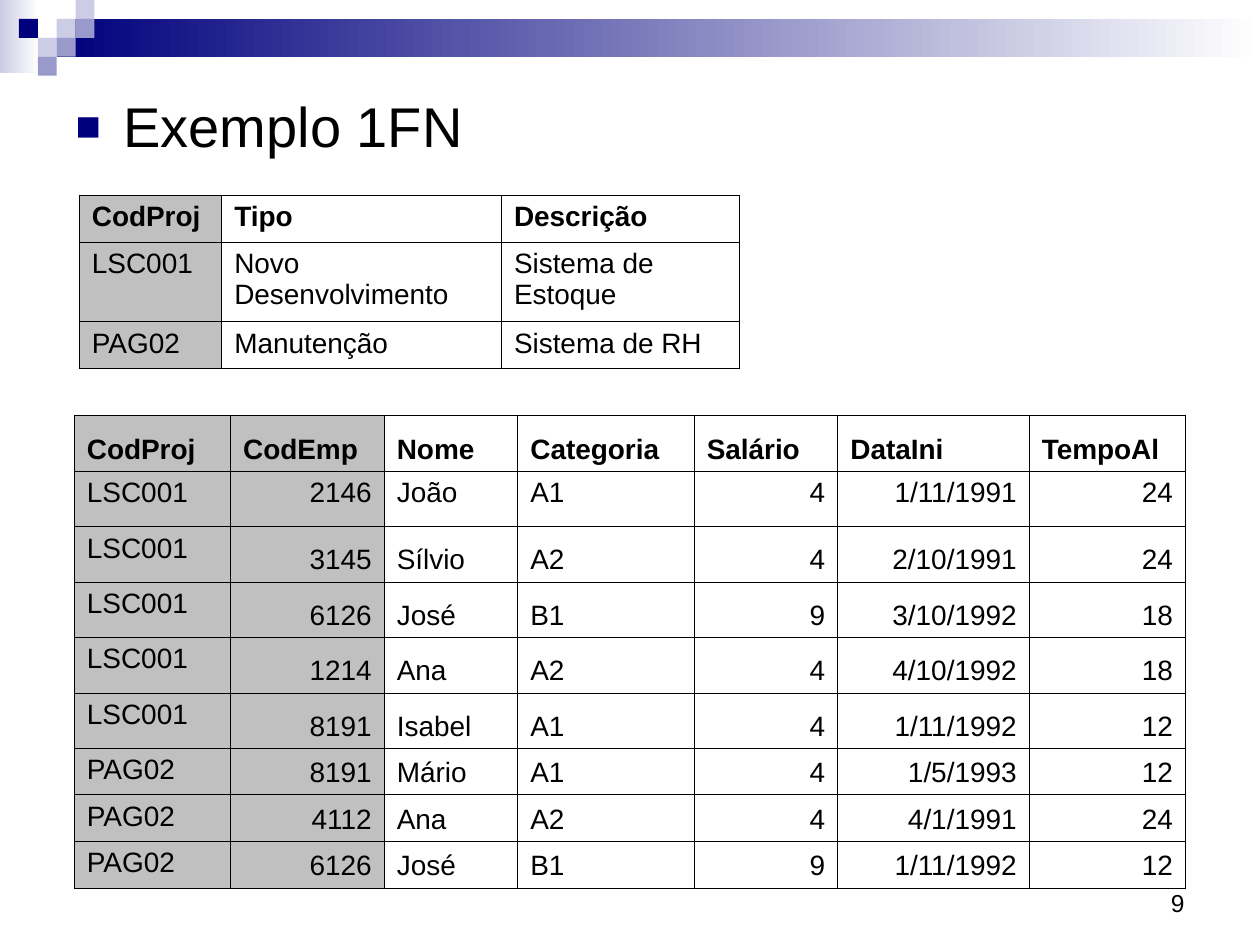
"""Build the first normal form (1FN) example slide with its two tables."""
from lxml import etree
from pptx import Presentation
from pptx import util as u
from pptx.dml import color
from pptx.enum import shapes, text
from pptx.oxml import ns

COLORS = {"navy": "00007D", "violet": "9999CC", "lilac": "CCCCE6",
          "white": "FFFFFF", "black": "000000", "key": "C0C0C0"}
FONT = "Arial"
HEADING = "Exemplo 1FN"
PAGE_NUMBER = "9"

BANDS = [((0, 0, 0.31, 0.58), "lilac"), ((0.45, 0.15, 9.55, 0.3), "navy")]
SQUARE = 0.15
SQUARES = [(3, 1, "lilac"), (4, 0, "lilac"), (4, 1, "violet"), (2, 2, "lilac"),
           (1, 1, "navy"), (3, 2, "violet"), (2, 3, "violet")]

PROJECTS = {
    "origin": (0.63, 1.55),
    "columns": [1.13, 2.22, 1.89],
    "heights": [0.37, 0.63, 0.37],
    "keys": 1,
    "right": (),
    "low": False,
    "rows": [
        ("CodProj", "Tipo", "Descrição"),
        ("LSC001", "Novo Desenvolvimento", "Sistema de Estoque"),
        ("PAG02", "Manutenção", "Sistema de RH"),
    ],
}
EMPLOYEES = {
    "origin": (0.59, 3.3),
    "columns": [1.24, 1.22, 1.06, 1.4, 1.14, 1.52, 1.24],
    "heights": [0.44] * 6 + [0.37] * 3,
    "keys": 2,
    "right": (1, 4, 5, 6),
    "low": True,
    "rows": [
        ("CodProj", "CodEmp", "Nome", "Categoria", "Salário", "DataIni", "TempoAl"),
        ("LSC001", "2146", "João", "A1", "4", "1/11/1991", "24"),
        ("LSC001", "3145", "Sílvio", "A2", "4", "2/10/1991", "24"),
        ("LSC001", "6126", "José", "B1", "9", "3/10/1992", "18"),
        ("LSC001", "1214", "Ana", "A2", "4", "4/10/1992", "18"),
        ("LSC001", "8191", "Isabel", "A1", "4", "1/11/1992", "12"),
        ("PAG02", "8191", "Mário", "A1", "4", "1/5/1993", "12"),
        ("PAG02", "4112", "Ana", "A2", "4", "4/1/1991", "24"),
        ("PAG02", "6126", "José", "B1", "9", "1/11/1992", "12"),
    ],
}


def rgb(name):
    return color.RGBColor.from_string(COLORS[name])


def add_element(parent, tag, **attributes):
    return etree.SubElement(parent, ns.qn(tag), attributes)


def style_paragraph(paragraph, size, bold=False, align=text.PP_ALIGN.LEFT):
    paragraph.alignment = align
    font = paragraph.font
    font.name, font.size, font.bold = FONT, u.Pt(size), bold
    font.color.rgb = rgb("black")


def add_block(slide, box, fill_name, fade=False):
    shape = slide.shapes.add_shape(shapes.MSO_SHAPE.RECTANGLE, *map(u.Inches, box))
    shape.shadow.inherit = False
    shape.line.fill.background()
    if fade:
        shape.fill.gradient()
        shape.fill.gradient_angle = 0
        for stop, name in zip(shape.fill.gradient_stops, (fill_name, "white")):
            stop.color.rgb = rgb(name)
    else:
        shape.fill.solid()
        shape.fill.fore_color.rgb = rgb(fill_name)


def add_heading(slide):
    body = slide.placeholders[1]
    body.left, body.top, body.width, body.height = map(u.Inches, (0.5, 0.68, 9.19, 0.94))
    body.text_frame.text = HEADING
    paragraph = body.text_frame.paragraphs[0]
    paragraph.space_before = u.Pt(8)
    properties = paragraph._p.get_or_add_pPr()
    properties.set("marL", str(u.Inches(0.38)))
    properties.set("indent", str(u.Inches(-0.38)))
    add_element(add_element(properties, "a:buClr"), "a:srgbClr", val=COLORS["navy"])
    add_element(properties, "a:buSzPct", val="75000")
    add_element(properties, "a:buFont", typeface=FONT)
    add_element(properties, "a:buChar", char="■")
    style_paragraph(paragraph, 32)


def add_borders(cell):
    properties = cell._tc.get_or_add_tcPr()
    for side in ("L", "R", "T", "B"):
        line = add_element(properties, f"a:ln{side}", w=str(u.Pt(0.45)))
        add_element(add_element(line, "a:solidFill"), "a:srgbClr", val=COLORS["black"])


def add_grid(slide, spec):
    columns, heights, rows = spec["columns"], spec["heights"], spec["rows"]
    box = (*spec["origin"], sum(columns), sum(heights))
    table = slide.shapes.add_table(len(rows), len(columns), *map(u.Inches, box)).table
    table.first_row = table.horz_banding = False
    for column, width in zip(table.columns, columns):
        column.width = u.Inches(width)
    for i, (row, height) in enumerate(zip(rows, heights)):
        table.rows[i].height = u.Inches(height)
        for j, value in enumerate(row):
            cell = table.cell(i, j)
            cell.text = value
            low = spec["low"] and (i == 0 or (i > 1 and j > 0))
            cell.vertical_anchor = text.MSO_ANCHOR.BOTTOM if low else text.MSO_ANCHOR.TOP
            right = i > 0 and j in spec["right"]
            align = text.PP_ALIGN.RIGHT if right else text.PP_ALIGN.LEFT
            style_paragraph(cell.text_frame.paragraphs[0], 16, i == 0, align)
            add_borders(cell)
            if j < spec["keys"]:
                cell.fill.solid()
                cell.fill.fore_color.rgb = rgb("key")
            else:
                cell.fill.background()


def add_page_number(slide):
    box = slide.shapes.add_textbox(*map(u.Inches, (7.17, 6.83, 2.33, 0.5)))
    frame = box.text_frame
    frame.word_wrap = True
    frame.vertical_anchor = text.MSO_ANCHOR.BOTTOM
    frame.text = PAGE_NUMBER
    style_paragraph(frame.paragraphs[0], 14, align=text.PP_ALIGN.RIGHT)


def main():
    presentation = Presentation()
    presentation.slide_width, presentation.slide_height = u.Inches(10), u.Inches(7.5)
    slide = presentation.slides.add_slide(presentation.slide_layouts[1])
    title = slide.shapes.title._element
    title.getparent().remove(title)
    for box, name in BANDS:
        add_block(slide, box, name, fade=True)
    for column, row, name in SQUARES:
        add_block(slide, (column * SQUARE, row * SQUARE, SQUARE, SQUARE), name)
    add_page_number(slide)
    add_heading(slide)
    for spec in (PROJECTS, EMPLOYEES):
        add_grid(slide, spec)
    presentation.save("out.pptx")


if __name__ == "__main__":
    main()
